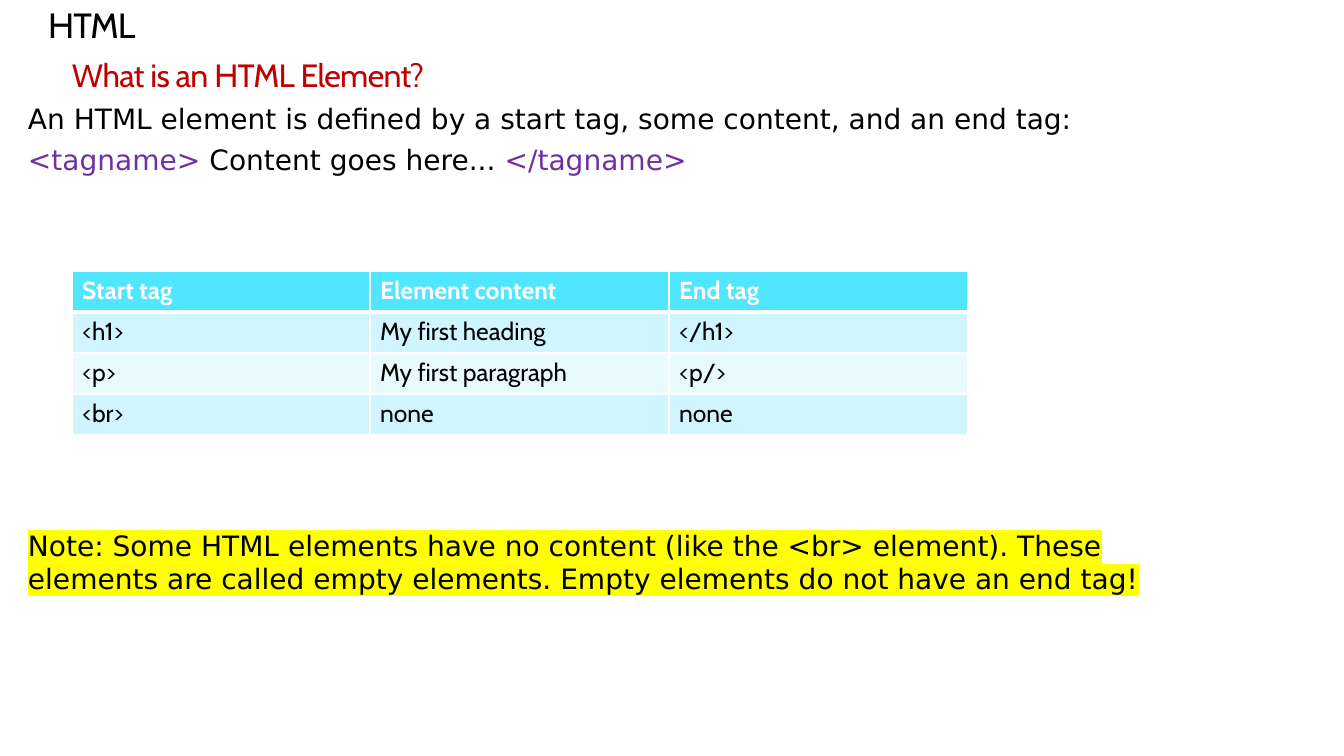
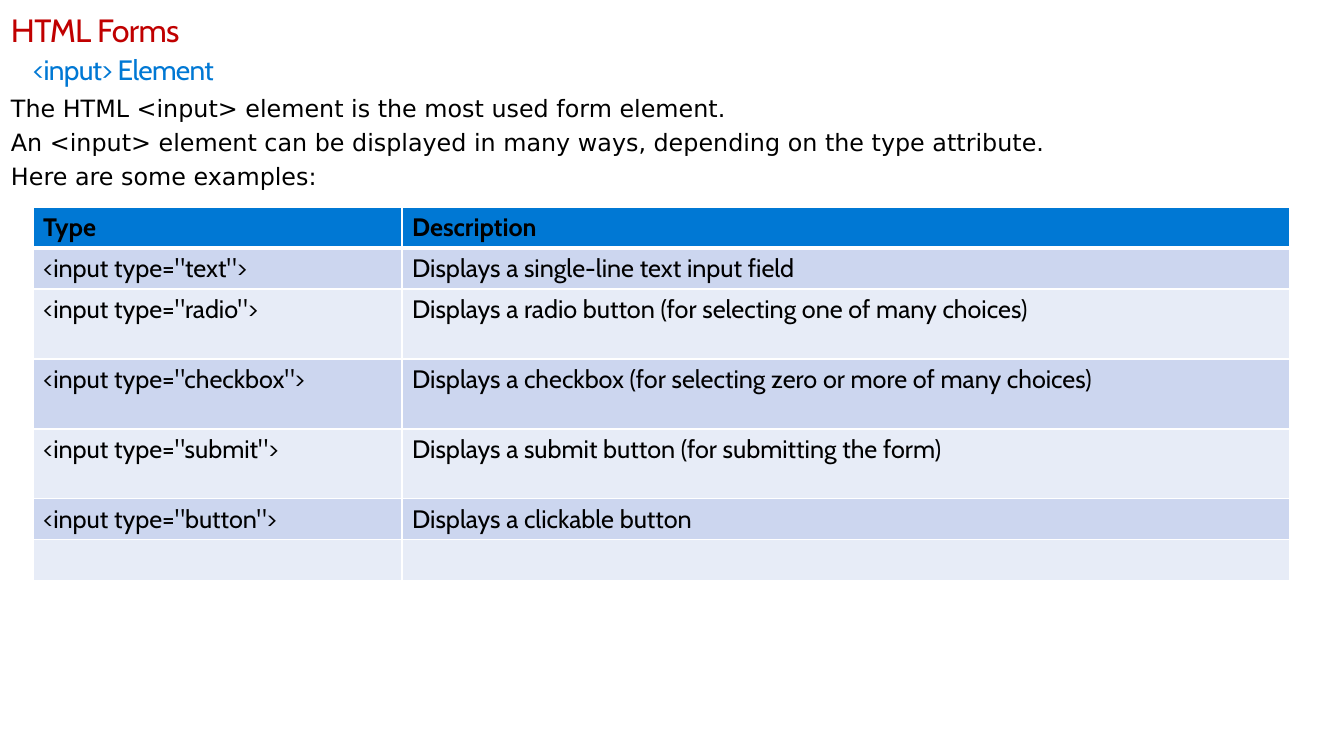
from lxml.etree import SubElement
from pptx import Presentation
from pptx.dml.color import RGBColor
from pptx.enum.text import MSO_AUTO_SIZE as AutoSize, MSO_ANCHOR as Anchor
from pptx.oxml import parse_xml
from pptx.oxml.ns import nsdecls, qn
from pptx.util import Emu, Pt

SLIDE_WIDTH, SLIDE_HEIGHT = 1344, 756
EMU_PER_PX = 12192000 / SLIDE_WIDTH
HEADING_FONT, BODY_FONT = "Cabin", "DejaVu Sans"
BLACK, WHITE, RED, BLUE, PURPLE = "000000", "FFFFFF", "C00000", "0078D4", "7030A0"
YELLOW = "FFFF00"
TIGHT_SPACING = "-50"
ROW_HEIGHT, TALL_ROW_HEIGHT = 41, 70
THIN_BORDER, THICK_BORDER = 1, 3
FRAME_FORMAT = {
    "word_wrap": True, "auto_size": AutoSize.SHAPE_TO_FIT_TEXT, "vertical_anchor": Anchor.TOP,
    "margin_left": 0, "margin_top": 0, "margin_right": 0, "margin_bottom": 0,
}
CYAN_THEME = {"size": 17.6, "header_color": WHITE, "header_fill": "50E6FF",
              "bands": ("D0F5FF", "E9FAFF")}
BLUE_THEME = {"size": 18, "header_color": BLACK, "header_fill": BLUE,
              "bands": ("CCD6EF", "E7ECF7")}
ELEMENT_ROWS = [
    ("Start tag", "Element content", "End tag"),
    ("<h1>", "My first heading", "</h1>"),
    ("<p>", "My first paragraph", "<p/>"),
    ("<br>", "none", "none"),
]
INPUT_ROWS = [
    ("Type", "Description"),
    ('<input type="text">', "Displays a single-line text input field"),
    ('<input type="radio">', "Displays a radio button (for selecting one of many choices)"),
    ('<input type="checkbox">', "Displays a checkbox (for selecting zero or more of many choices)"),
    ('<input type="submit">', "Displays a submit button (for submitting the form)"),
    ('<input type="button">', "Displays a clickable button"),
    ("", ""),
]


def px(length):
    """Turn pixels into EMU."""
    return Emu(round(length * EMU_PER_PX))


def rgb(color):
    """Turn a hex string into a colour."""
    return RGBColor.from_string(color)


def apply_format(target, values):
    """Set each named attribute on the target."""
    for name, value in values.items():
        setattr(target, name, value)


def add_run(paragraph, text, color, size, font, bold=False):
    """Add a formatted run to a paragraph."""
    run = paragraph.add_run()
    run.text = text
    apply_format(run.font, {"name": font, "size": Pt(size), "bold": bold})
    run.font.color.rgb = rgb(color)
    return run


def highlight(run, color):
    """Mark a run with a background colour."""
    properties = run.font._element
    marker = parse_xml(f'<a:highlight {nsdecls("a")}><a:srgbClr val="{color}"/></a:highlight>')
    properties.find(qn("a:solidFill")).addnext(marker)


def add_frame(slide, box):
    """Add a text box without margins and return its frame."""
    frame = slide.shapes.add_textbox(*map(px, box)).text_frame
    apply_format(frame, FRAME_FORMAT)
    return frame


def add_heading(slide, box, text, color, size):
    """Add a tightly spaced heading line."""
    paragraph = add_frame(slide, box).paragraphs[0]
    run = add_run(paragraph, text, color, size, HEADING_FONT)
    run.font._element.set("spc", TIGHT_SPACING)


def add_body(slide, box, size, paragraphs, marker=None):
    """Add paragraphs, each given as (text, colour) runs."""
    frame = add_frame(slide, box)
    for index, runs in enumerate(paragraphs):
        paragraph = frame.add_paragraph() if index else frame.paragraphs[0]
        if index:
            paragraph.space_before = Pt(round(size * 0.23, 1))
        for text, color in runs:
            run = add_run(paragraph, text, color, size, BODY_FONT)
            if marker:
                highlight(run, marker)


def set_borders(cell, top, bottom):
    """Draw white borders round a cell."""
    properties = cell._tc.get_or_add_tcPr()
    widths = {"lnL": THIN_BORDER, "lnR": THIN_BORDER, "lnT": top, "lnB": bottom}
    for tag, width in widths.items():
        line = SubElement(properties, qn(f"a:{tag}"), w=str(Pt(width)))
        fill = SubElement(line, qn("a:solidFill"))
        SubElement(fill, qn("a:srgbClr"), val=WHITE)


def fill_cell(cell, text, row_index, theme):
    """Write and colour one cell according to its row."""
    header = row_index == 0
    set_borders(cell, THICK_BORDER if row_index == 1 else THIN_BORDER,
                THICK_BORDER if header else THIN_BORDER)
    cell.fill.solid()
    cell.fill.fore_color.rgb = rgb(
        theme["header_fill"] if header else theme["bands"][(row_index - 1) % 2])
    if text:
        add_run(cell.text_frame.paragraphs[0], text,
                theme["header_color"] if header else BLACK,
                theme["size"], HEADING_FONT, bold=header)


def add_banded_table(slide, left, top, widths, rows, theme, tall_rows=()):
    """Add a table with a header row and alternating bands."""
    heights = [TALL_ROW_HEIGHT if index in tall_rows else ROW_HEIGHT
               for index in range(len(rows))]
    box = (left, top, sum(widths), sum(heights))
    table = slide.shapes.add_table(len(rows), len(widths), *map(px, box)).table
    for column, width in zip(table.columns, widths):
        column.width = px(width)
    for row_index, texts in enumerate(rows):
        table.rows[row_index].height = px(heights[row_index])
        for column_index, text in enumerate(texts):
            fill_cell(table.cell(row_index, column_index), text, row_index, theme)


def build_element_slide(slide):
    """Explain what an HTML element is."""
    add_heading(slide, (48, 4, 164, 42), "HTML", BLACK, 25)
    add_heading(slide, (72, 55, 452, 39), "What is an HTML Element?", RED, 23)
    add_body(slide, (28, 102, 1175, 75), 20, [
        [("An HTML element is defined by a start tag, some content, and an end tag:", BLACK)],
        [("<tagname> ", PURPLE), ("Content goes here... ", BLACK), ("</tagname>", PURPLE)],
    ])
    add_banded_table(slide, 72, 271, [298, 299, 299], ELEMENT_ROWS, CYAN_THEME)
    add_body(slide, (28, 528, 1175, 68), 20, [[(
        "Note: Some HTML elements have no content (like the <br> element). These elements "
        "are called empty elements. Empty elements do not have an end tag!", BLACK)]], YELLOW)


def build_input_slide(slide):
    """Present the types of input element."""
    add_heading(slide, (11, 10, 452, 39), "HTML Forms", RED, 23)
    add_heading(slide, (33, 52, 452, 34), "<input> Element", BLUE, 20)
    add_body(slide, (11, 94, 1233, 98), 17, [
        [("The HTML <input> element is the most used form element.", BLACK)],
        [("An <input> element can be displayed in many ways, "
          "depending on the type attribute.", BLACK)],
        [("Here are some examples:", BLACK)],
    ])
    add_banded_table(slide, 33, 207, [369, 888], INPUT_ROWS, BLUE_THEME, tall_rows=(2, 3, 4))


def main():
    """Build and save the presentation."""
    presentation = Presentation()
    apply_format(presentation, {"slide_width": px(SLIDE_WIDTH), "slide_height": px(SLIDE_HEIGHT)})
    blank_layout = presentation.slide_layouts[6]
    for build in (build_element_slide, build_input_slide):
        build(presentation.slides.add_slide(blank_layout))
    presentation.save("out.pptx")


if __name__ == "__main__":
    main()
